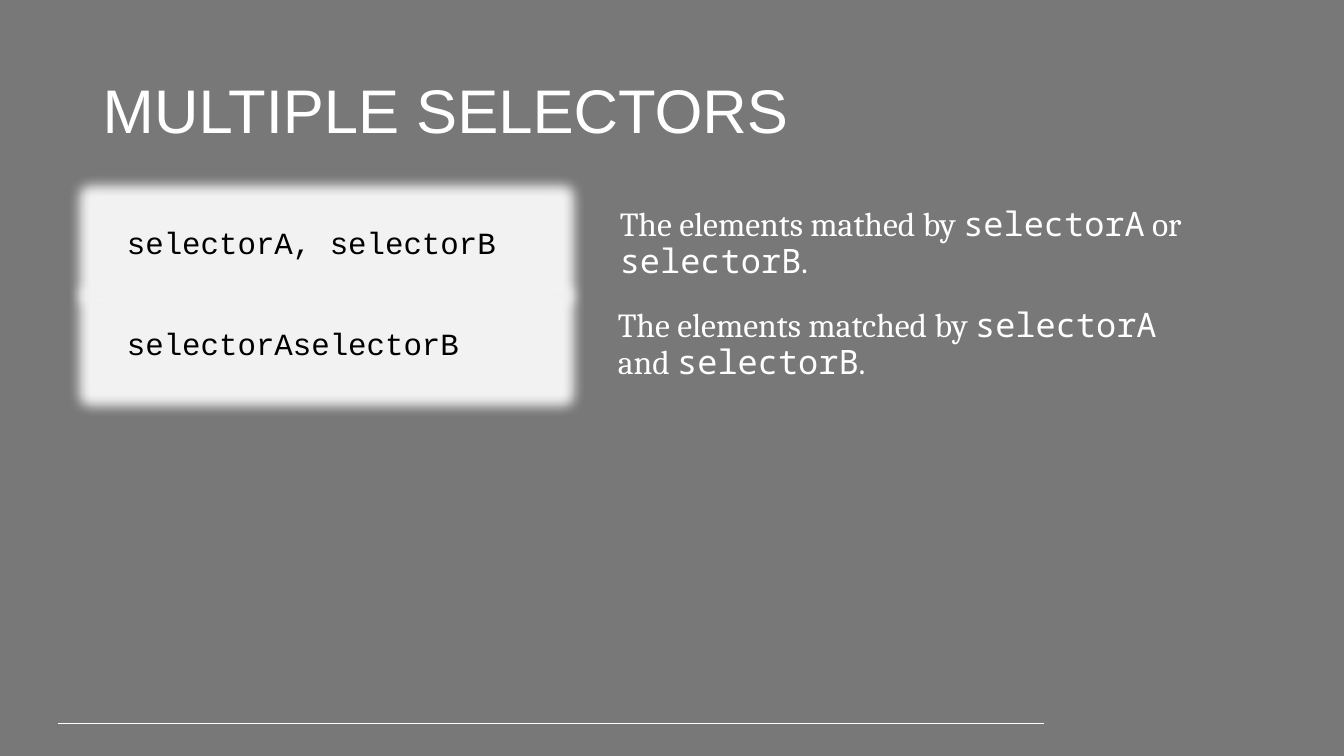
import pptx
import pptx.dml.color
import pptx.enum.shapes
import pptx.enum.text
import pptx.oxml
import pptx.oxml.ns
import pptx.util
from pptx.util import Cm

RGBColor = pptx.dml.color.RGBColor
MSO_ANCHOR = pptx.enum.text.MSO_ANCHOR

GRAY = RGBColor(0x78, 0x78, 0x78)
WHITE = RGBColor(0xFF, 0xFF, 0xFF)
BLACK = RGBColor(0x00, 0x00, 0x00)
PALE = RGBColor(0xF2, 0xF2, 0xF2)

TITLE_FONT = "Arial"
BODY_FONT = "Cambria"
NAME_FONT = "Noto Sans Mono"
CODE_FONT = "Courier New"

# Code, description as (text, font) runs, left edge of the description
ROWS = [
    ("selectorA, selectorB",
     [("The elements mathed by ", BODY_FONT), ("selectorA", NAME_FONT),
      (" or ", BODY_FONT), ("selectorB", NAME_FONT), (".", BODY_FONT)],
     Cm(15.37)),
    ("selectorAselectorB",
     [("The elements matched by ", BODY_FONT), ("selectorA", NAME_FONT),
      (" and ", BODY_FONT), ("selectorB", NAME_FONT), (".", BODY_FONT)],
     Cm(15.32)),
]
FIRST_ROW_TOP = Cm(5.11)
ROW_PITCH = Cm(2.55)


def write_text(shape, runs, size, color, anchor=MSO_ANCHOR.TOP):
    """Fill a shape with one left-aligned paragraph of (text, font) runs."""
    frame = shape.text_frame
    frame.word_wrap = True
    frame.vertical_anchor = anchor
    paragraph = frame.paragraphs[0]
    paragraph.alignment = pptx.enum.text.PP_ALIGN.LEFT
    paragraph.line_spacing = 0.9
    for text, font in runs:
        run = paragraph.add_run()
        run.text = text
        run.font.name = font
        run.font.size = pptx.util.Pt(size)
        run.font.color.rgb = color


def add_glow(shape, color, radius):
    """Surround a shape with a soft glow."""
    namespace = pptx.oxml.ns.nsdecls("a")
    effects = shape.element.spPr.find(pptx.oxml.ns.qn("a:effectLst"))
    effects.append(pptx.oxml.parse_xml(
        f'<a:glow {namespace} rad="{radius}"><a:srgbClr val="{color}"/></a:glow>'))


def add_title(slide, left, top, width, height):
    title = slide.shapes.add_textbox(left, top, width, height)
    write_text(title, [("MULTIPLE SELECTORS", TITLE_FONT)], 44, WHITE, MSO_ANCHOR.MIDDLE)


def add_selector_row(slide, top, code, description, description_left):
    # Glowing code box
    code_box = slide.shapes.add_shape(
        pptx.enum.shapes.MSO_SHAPE.RECTANGLE,
        Cm(2.95), top + Cm(0.5), Cm(10.57), Cm(1.12))
    code_box.shadow.inherit = False
    code_box.fill.solid()
    code_box.fill.fore_color.rgb = PALE
    code_box.line.fill.background()
    add_glow(code_box, PALE, pptx.util.Pt(18))
    write_text(code_box, [(code, CODE_FONT)], 22, BLACK)

    # Explanation beside it
    explanation = slide.shapes.add_textbox(description_left, top, Cm(15.24), Cm(2.13))
    write_text(explanation, description, 24, WHITE)


def add_footer_line(slide, left, top, width):
    line = slide.shapes.add_connector(
        pptx.enum.shapes.MSO_CONNECTOR.STRAIGHT, left, top, left + width, top)
    line.line.color.rgb = WHITE
    line.line.width = pptx.util.Pt(0.75)
    line.element.spPr.append(pptx.oxml.parse_xml(
        f'<a:effectLst {pptx.oxml.ns.nsdecls("a")}/>'))


def main():
    presentation = pptx.Presentation()
    presentation.slide_width = Cm(33.87)
    presentation.slide_height = Cm(19.05)
    slide = presentation.slides.add_slide(presentation.slide_layouts[6])
    slide.background.fill.solid()
    slide.background.fill.fore_color.rgb = GRAY

    add_footer_line(slide, Cm(1.45), Cm(18.23), Cm(24.87))
    add_title(slide, Cm(2.34), Cm(1.02), Cm(29.21), Cm(3.68))
    for index, (code, description, description_left) in enumerate(ROWS):
        top = FIRST_ROW_TOP + index * ROW_PITCH
        add_selector_row(slide, top, code, description, description_left)

    presentation.save("out.pptx")


if __name__ == "__main__":
    main()
